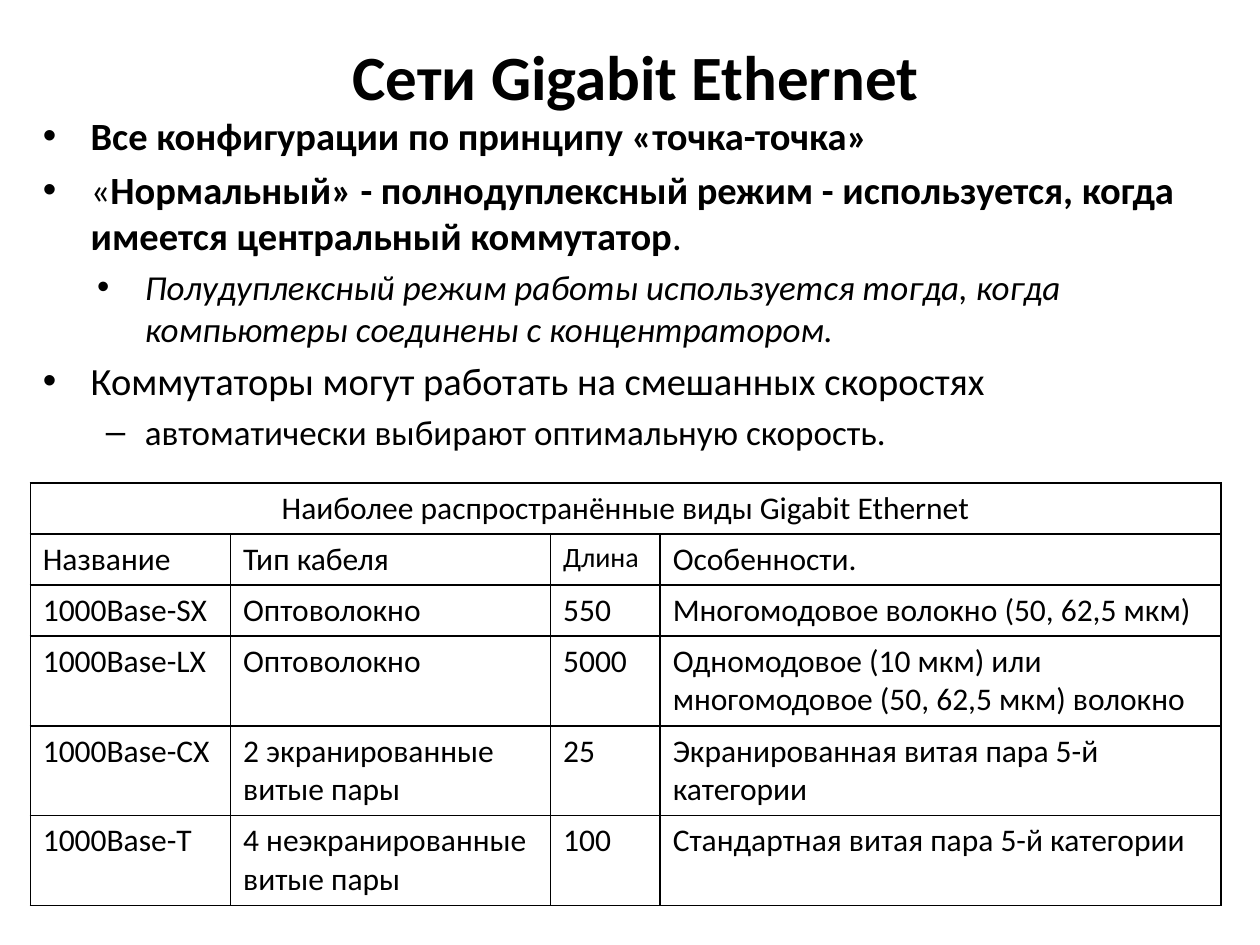
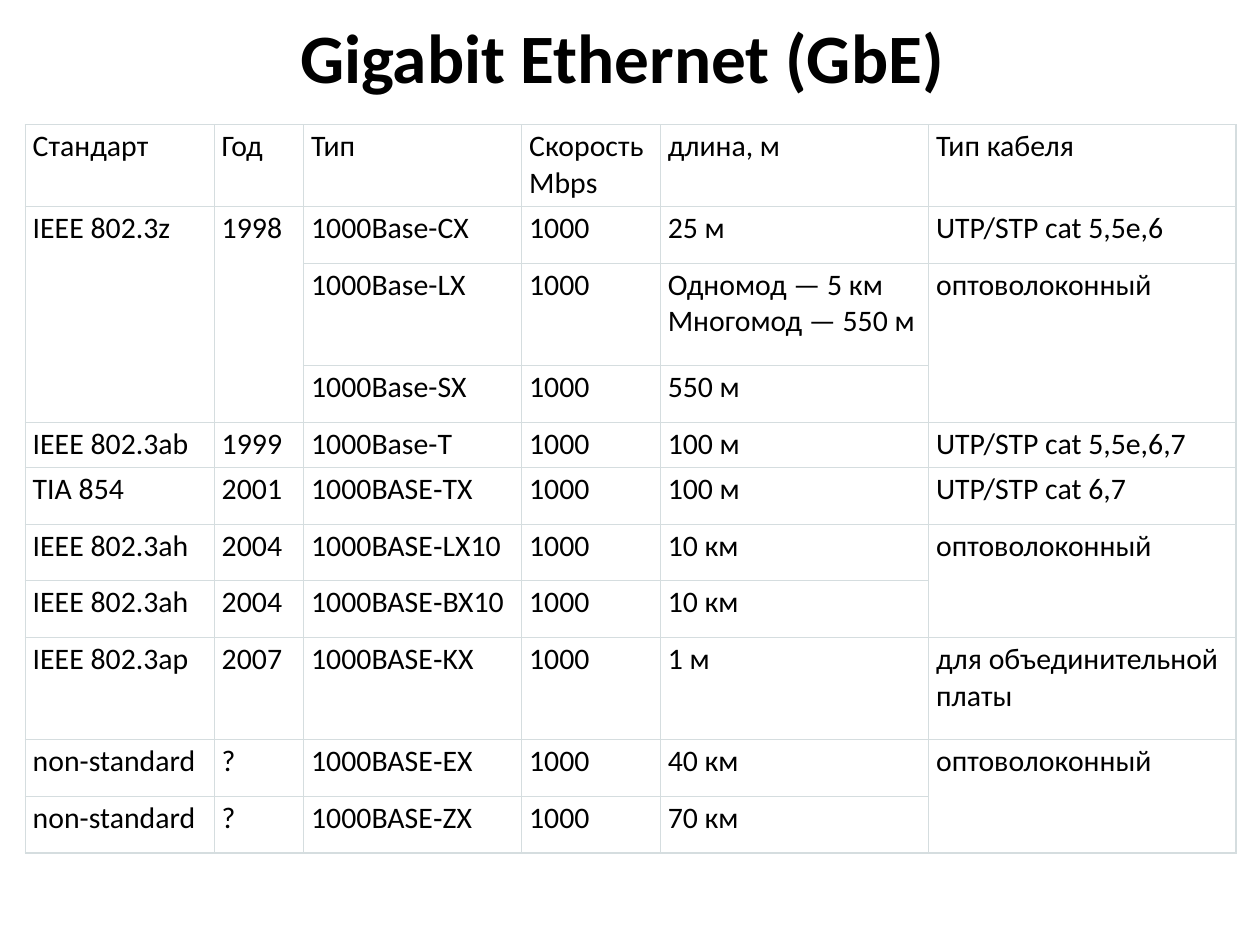
from lxml import etree
from pptx import Presentation
from pptx import util as u
from pptx.dml.color import RGBColor
from pptx.enum import text
from pptx.oxml.ns import qn

BLACK = RGBColor(0x00, 0x00, 0x00)
WHITE = RGBColor(0xFF, 0xFF, 0xFF)
PALE_GREY = RGBColor(0xD5, 0xDD, 0xDF)
FONT = "Calibri"

presentation = Presentation()
presentation.slide_width = u.Inches(10)
presentation.slide_height = u.Inches(7.5)
PERCENT_X = presentation.slide_width / 100
PERCENT_Y = presentation.slide_height / 100


def format_font(font, size, **values):
    font.color.rgb = BLACK
    for name, value in {"name": FONT, "size": u.Pt(size), **values}.items():
        setattr(font, name, value)


def add_grid_table(slide, left, top, columns, rows, cells, merges, size, line, margins):
    """Add a table; lengths are percent of the slide, merges are (row, column, last row, last column)."""
    frame = slide.shapes.add_table(
        len(rows), len(columns), int(left * PERCENT_X), int(top * PERCENT_Y),
        int(sum(columns) * PERCENT_X), int(sum(rows) * PERCENT_Y))
    table = frame.table
    table.first_row = table.horz_banding = False
    for column, width in zip(table.columns, columns):
        column.width = int(width * PERCENT_X)
    for row, height in zip(table.rows, rows):
        row.height = int(height * PERCENT_Y)
    for first_row, first_column, last_row, last_column in merges:
        table.cell(first_row, first_column).merge(table.cell(last_row, last_column))

    line_color, line_width = line
    for row, values in zip(table.rows, cells):
        for cell, value in zip(row.cells, values):
            properties = cell._tc.get_or_add_tcPr()
            for side in ("lnL", "lnR", "lnT", "lnB"):
                border = etree.SubElement(properties, qn(f"a:{side}"), w=str(u.Pt(line_width)))
                fill = etree.SubElement(border, qn("a:solidFill"))
                etree.SubElement(fill, qn("a:srgbClr"), val=str(line_color))
            cell.fill.solid()
            cell.fill.fore_color.rgb = WHITE
            for name, margin in margins.items():
                setattr(cell, name, u.Inches(margin))
            if not value:
                continue
            cell.text_frame.text = value
            for paragraph in cell.text_frame.paragraphs:
                for run in paragraph.runs:
                    format_font(run.font, size)
    return table


# Titles: text, size, then left, top, width and height in percent of the slide
titles = [
    ("Сети Gigabit Ethernet", 36, (5.9, 2.8, 89.1, 10.27)),
    ("Gigabit Ethernet (GbE) ", 39.6, (5, 2.8, 90, 6.27)),
]
layouts = [presentation.slide_layouts[1], presentation.slide_layouts[5]]
for layout, (title_text, size, (left, top, width, height)) in zip(layouts, titles):
    slide = presentation.slides.add_slide(layout)
    title = slide.shapes.title
    title.left, title.width = int(left * PERCENT_X), int(width * PERCENT_X)
    title.top, title.height = int(top * PERCENT_Y), int(height * PERCENT_Y)
    title.text_frame.text = title_text
    title.text_frame.auto_size = text.MSO_AUTO_SIZE.NONE
    title.text_frame.vertical_anchor = text.MSO_ANCHOR.MIDDLE
    paragraph = title.text_frame.paragraphs[0]
    paragraph.alignment = text.PP_ALIGN.CENTER
    format_font(paragraph.runs[0].font, size, bold=True)
networks_slide, standards_slide = presentation.slides

# Slide 1: operating modes
BOLD, ITALIC, PLAIN = {"bold": True}, {"italic": True}, {}
modes = [
    (0, 22, [("Все конфигурации по принципу «точка-точка»", BOLD)]),
    (0, 22, [("«", PLAIN),
             ("Нормальный» - полнодуплексный режим - используется, "
              "когда имеется центральный коммутатор", BOLD),
             (".", PLAIN)]),
    (2, 20, [("Полудуплексный режим работы используется тогда, "
              "когда компьютеры соединены с концентратором.", ITALIC)]),
    (0, 22, [("Коммутаторы могут работать на смешанных скоростях", PLAIN)]),
    (1, 20, [("автоматически выбирают оптимальную скорость.", PLAIN)]),
]
INDENTS = [(0.38, -0.38), (0.81, -0.31), (0.81, -0.38)]

body = networks_slide.placeholders[1]
body.left, body.width = int(2.4 * PERCENT_X), int(94.5 * PERCENT_X)
body.top, body.height = int(11.2 * PERCENT_Y), int(82.93 * PERCENT_Y)
body.text_frame.auto_size = text.MSO_AUTO_SIZE.NONE
for index, (level, size, runs) in enumerate(modes):
    paragraph = body.text_frame.add_paragraph() if index else body.text_frame.paragraphs[0]
    paragraph.level = level
    margin, indent = INDENTS[level]
    paragraph_properties = paragraph._p.get_or_add_pPr()
    paragraph_properties.set("marL", str(u.Inches(margin)))
    paragraph_properties.set("indent", str(u.Inches(indent)))
    for run_text, style in runs:
        run = paragraph.add_run()
        run.text = run_text
        format_font(run.font, size, **style)

# Slide 1: common kinds of cable
cable_cells = [
    ["Наиболее распространённые виды Gigabit Ethernet", "", "", ""],
    ["Название", "Тип кабеля", "Длина", "Особенности."],
    ["1000Base-SX", "Оптоволокно", "550", "Многомодовое волокно (50, 62,5 мкм)"],
    ["1000Base-LX", "Оптоволокно", "5000",
     "Одномодовое (10 мкм) или\nмногомодовое (50, 62,5 мкм) волокно"],
    ["1000Base-CX", "2 экранированные\nвитые пары", "25",
     "Экранированная витая пара 5-й категории"],
    ["1000Base-T", "4 неэкранированные\nвитые пары", "100",
     "Стандартная витая пара 5-й категории"],
]
cable_table = add_grid_table(
    networks_slide, 2.4, 51.1, [15.9, 25.4, 8.7, 44.5], [5.4] * 3 + [9.5] * 3,
    cable_cells, [(0, 0, 0, 3)], 18, (BLACK, 1), {})
cable_table.cell(0, 0).text_frame.paragraphs[0].alignment = text.PP_ALIGN.CENTER
cable_table.cell(1, 2).text_frame.paragraphs[0].runs[0].font.size = u.Pt(16)

# Slide 2: standards; every type has the same speed
SPEED = "1000"
standards = [
    ("IEEE 802.3z", "1998", "1000Base-CX", "25 м", "UTP/STP cat 5,5e,6"),
    ("", "", "1000Base-LX", "Одномод — 5 км\vМногомод — 550 м", "оптоволоконный"),
    ("", "", "1000Base-SX", "550 м", ""),
    ("IEEE 802.3ab", "1999", "1000Base-T", "100 м", "UTP/STP cat 5,5е,6,7"),
    ("TIA 854", "2001", "1000BASE‑TX", "100 м", "UTP/STP cat 6,7"),
    ("IEEE 802.3ah", "2004", "1000BASE‑LX10", "10 км", "оптоволоконный"),
    ("IEEE 802.3ah", "2004", "1000BASE‑BX10", "10 км", ""),
    ("IEEE 802.3ap", "2007", "1000BASE‑KX", "1 м", "для объединительной платы"),
    ("non-standard", "?", "1000BASE‑EX", "40 км", "оптоволоконный"),
    ("non-standard", "?", "1000BASE‑ZX", "70 км", ""),
]
standard_cells = [["Стандарт", "Год", "Тип", "Скорость Мbps", "длина, м", "Тип кабеля"]]
for standard, year, kind, length, cable in standards:
    standard_cells.append([standard, year, kind, SPEED, length, cable])
LOW, NORMAL, TALL = 4.8, 6, 10.8
add_grid_table(
    standards_slide, 2, 13.2, [15, 7.1, 17.3, 11, 21.3, 24.4],
    [8.67, NORMAL, TALL, NORMAL, LOW, NORMAL, NORMAL, NORMAL, TALL, NORMAL, NORMAL],
    standard_cells,
    [(1, 0, 3, 0), (1, 1, 3, 1), (2, 5, 3, 5), (6, 5, 7, 5), (9, 5, 10, 5)],
    17, (PALE_GREY, 0.75),
    {"margin_left": 0.06, "margin_top": 0.03, "margin_right": 0.06, "margin_bottom": 0.04})

presentation.save("out.pptx")
